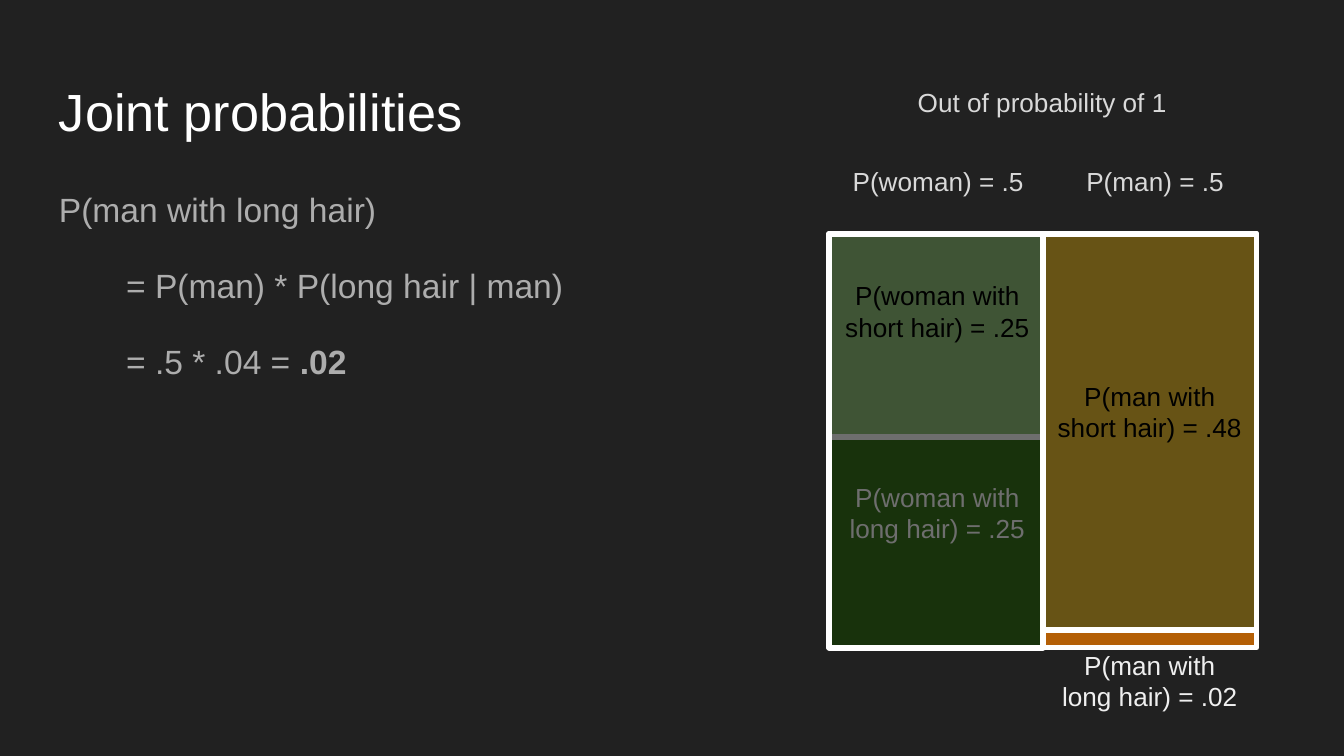
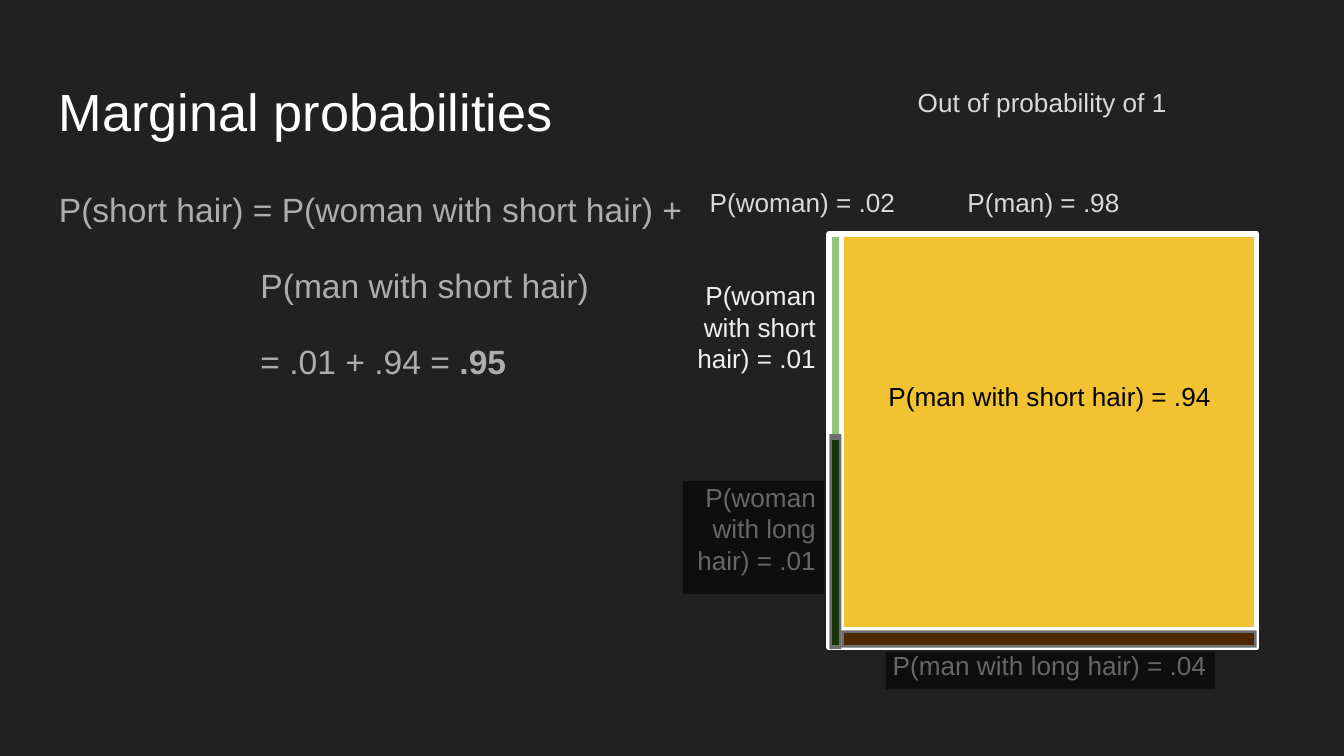
import pptx
import pptx.util
import pptx.dml.color
import pptx.enum.shapes
import pptx.enum.text
import pptx.oxml.ns
import lxml.etree

COLORS = {
    "background": "212121",
    "title": "FFFFFF",
    "body": "ADADAD",
    "heading": "D9D9D9",
    "light": "EFEFEF",
    "white": "FFFFFF",
    "dark": "000000",
    "man_short": "F1C232",
    "man_long": "B45F06",
    "woman_short": "93C47D",
    "woman_long": "38761D",
}
SQUARE_LEFT, SQUARE_TOP, SQUARE_WIDTH, SQUARE_HEIGHT = 6.17, 1.74, 3.18, 3.08
SQUARE_RIGHT = SQUARE_LEFT + SQUARE_WIDTH
MAN_SHORT_HEIGHT, WOMAN_SHORT_HEIGHT = 2.95, 1.51
LABEL_HEIGHT = 0.49
SHADE_ALPHA = 57
CENTER = pptx.enum.text.PP_ALIGN.CENTER
RIGHT = pptx.enum.text.PP_ALIGN.RIGHT
LEFT = pptx.enum.text.PP_ALIGN.LEFT


def add_text(slide, box, text, color, size=14, align=CENTER):
    text_box = slide.shapes.add_textbox(*[pptx.util.Inches(value) for value in box])
    frame = text_box.text_frame
    frame.word_wrap = True
    frame.margin_left = frame.margin_right = pptx.util.Inches(0.1)
    frame.margin_top = frame.margin_bottom = pptx.util.Inches(0.1)
    frame.text = text
    for paragraph in frame.paragraphs:
        paragraph.alignment = align
        for run in paragraph.runs:
            run.font.name = "Arial"
            run.font.size = pptx.util.Pt(size)
            run.font.color.rgb = pptx.dml.color.RGBColor.from_string(COLORS[color])
    return frame


def add_block(slide, box, color, alpha=100, outlined=True):
    shape = slide.shapes.add_shape(
        pptx.enum.shapes.MSO_SHAPE.RECTANGLE, *[pptx.util.Inches(value) for value in box])
    shape.shadow.inherit = False
    shape.fill.solid()
    shape.fill.fore_color.rgb = pptx.dml.color.RGBColor.from_string(COLORS[color])
    if alpha < 100:
        fill_color = shape.fill._xPr.find(".//" + pptx.oxml.ns.qn("a:srgbClr"))
        lxml.etree.SubElement(fill_color, pptx.oxml.ns.qn("a:alpha"), val=str(alpha * 1000))
    if outlined:
        shape.line.color.rgb = pptx.dml.color.RGBColor.from_string(COLORS["white"])
        shape.line.width = pptx.util.Pt(3)
        lxml.etree.SubElement(shape.line._get_or_add_ln(), pptx.oxml.ns.qn("a:round"))
    else:
        shape.line.fill.background()


slides = [
    {
        "title": "Joint probabilities",
        "body": ["P(man with long hair)", "= P(man) * P(long hair | man)", "= .5 * .04 = "],
        "result": ".02",
        "body_width": 5.06,
        "margin": 0,
        "woman_width": 1.59,
        "labels": [
            ((7.73, 1.13, 1.73), "P(man) = .5", "heading", CENTER),
            ((6.04, 1.13, 1.88), "P(woman) = .5", "heading", CENTER),
            ((6.11, 1.98, 1.73), "P(woman with short hair) = .25", "dark", CENTER),
            ((6.11, 3.48, 1.73), "P(woman with long hair) = .25", "white", CENTER),
            ((7.76, 2.73, 1.59), "P(man with short hair) = .48", "dark", CENTER),
            ((7.76, 4.73, 1.59), "P(man with long hair) = .02", "light", CENTER),
        ],
        "shades": [
            (SQUARE_LEFT, SQUARE_TOP, 1.59, SQUARE_HEIGHT),
            (7.76, SQUARE_TOP, 1.59, MAN_SHORT_HEIGHT),
        ],
        "shades_outlined": True,
    },
    {
        "title": "Marginal probabilities",
        "body": ["P(short hair) = P(woman with short hair) +", "P(man with short hair)", "= .01 + .94 = "],
        "result": ".95",
        "body_width": 4.97,
        "margin": 1,
        "woman_width": 0.09,
        "labels": [
            ((6.9, 1.29, 1.73), "P(man) = .98", "heading", CENTER),
            ((4.88, 1.29, 1.88), "P(woman) = .02", "heading", RIGHT),
            ((4.44, 1.98, 1.73), "P(woman\nwith short\nhair) = .01", "light", RIGHT),
            ((4.44, 3.48, 1.73), "P(woman\nwith long\nhair) = .01", "light", RIGHT),
            ((6.37, 2.73, 2.88), "P(man with short hair) = .94", "dark", CENTER),
            ((6.37, 4.73, 2.88), "P(man with long hair) = .04", "light", CENTER),
        ],
        "shades": [
            (SQUARE_LEFT, 3.23, 0.09, 1.6),
            (5.08, 3.58, 1.05, 0.84),
            (6.26, 4.69, 3.09, 0.13),
            (6.59, 4.85, 2.45, 0.28),
        ],
        "shades_outlined": False,
    },
]

presentation = pptx.Presentation()
presentation.slide_width = pptx.util.Inches(10)
presentation.slide_height = pptx.util.Inches(5.625)

for content in slides:
    slide = presentation.slides.add_slide(presentation.slide_layouts[6])
    slide.background.fill.solid()
    slide.background.fill.fore_color.rgb = pptx.dml.color.RGBColor.from_string(COLORS["background"])

    woman_width = content["woman_width"]
    columns = [
        ("man", SQUARE_LEFT + woman_width, SQUARE_WIDTH - woman_width, MAN_SHORT_HEIGHT),
        ("woman", SQUARE_LEFT, woman_width, WOMAN_SHORT_HEIGHT),
    ]
    for person, left, width, short_height in columns:
        add_block(slide, (left, SQUARE_TOP, width, short_height), person + "_short")
        add_block(slide, (left, SQUARE_TOP + short_height, width, SQUARE_HEIGHT - short_height),
                  person + "_long")

    add_text(slide, (0.34, 0.49, 9.32, 0.63), content["title"], "title", 28, LEFT)
    body = add_text(slide, (0.34, 1.26, content["body_width"], 3.74),
                    "\n".join(content["body"]), "body", 18, LEFT)
    for index, paragraph in enumerate(body.paragraphs):
        paragraph.line_spacing = 1.15
        if index > 0:
            paragraph.space_before = pptx.util.Pt(16)
            properties = paragraph._p.get_or_add_pPr()
            properties.set("marL", str(pptx.util.Inches(content["margin"])))
            properties.set("indent", str(pptx.util.Inches(0.5)))
    result = body.paragraphs[-1].add_run()
    result.text = content["result"]
    result.font.name = "Arial"
    result.font.size = pptx.util.Pt(18)
    result.font.bold = True
    result.font.color.rgb = pptx.dml.color.RGBColor.from_string(COLORS["body"])

    add_text(slide, (6.64, 0.54, 2.23, LABEL_HEIGHT), "Out of probability of 1", "heading")
    for box, text, color, align in content["labels"]:
        add_text(slide, (*box, LABEL_HEIGHT), text, color, align=align)
    for box in content["shades"]:
        add_block(slide, box, "dark", SHADE_ALPHA, content["shades_outlined"])

presentation.save("out.pptx")
